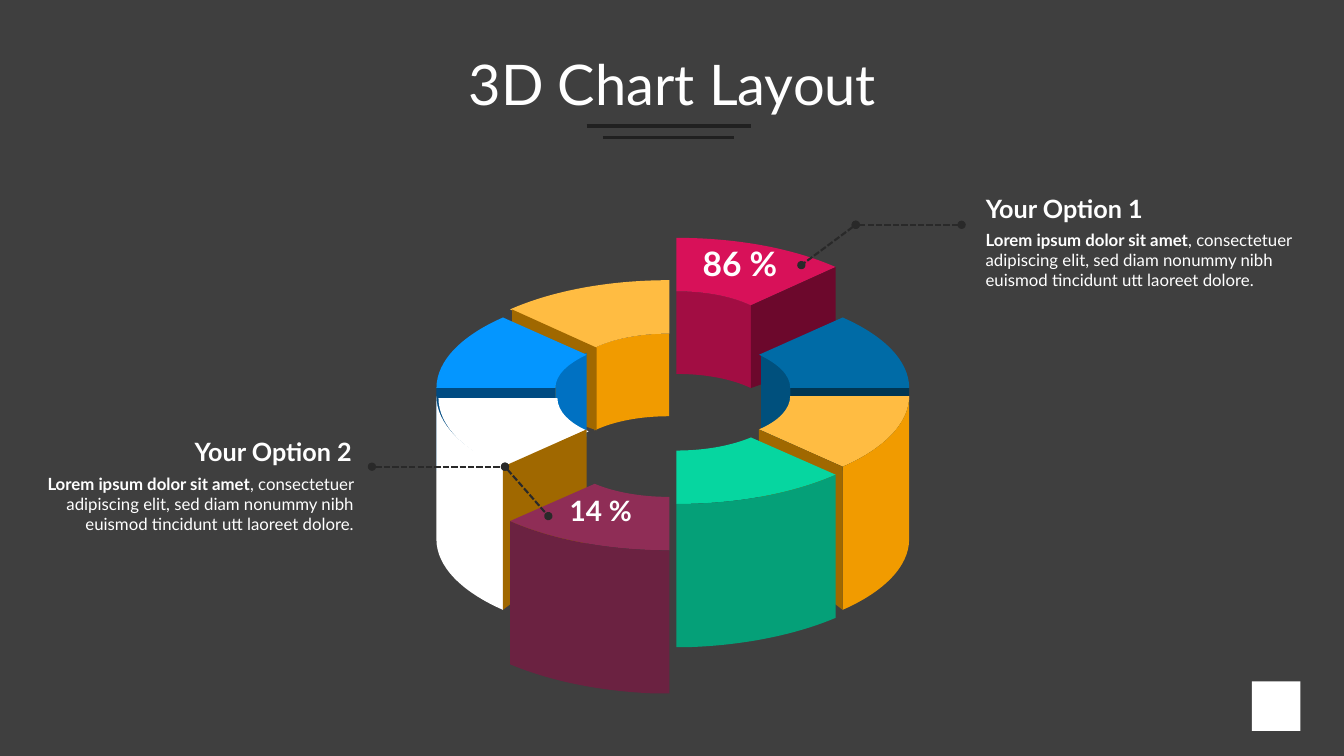
from lxml import etree
from pptx import Presentation
from pptx.dml.color import RGBColor
from pptx.enum import dml, shapes, text
from pptx.oxml.ns import qn
from pptx.util import Inches, Pt

FONT = "Lato"
BACKGROUND = RGBColor(0x3F, 0x3F, 0x3F)
WHITE = RGBColor(0xFF, 0xFF, 0xFF)
RULE = RGBColor(0x20, 0x20, 0x20)
LEADER = RGBColor(0x29, 0x29, 0x29)
YELLOW = RGBColor(0xFF, 0xBC, 0x42)
ORANGE = RGBColor(0xF1, 0x9B, 0x00)
BROWN = RGBColor(0xA0, 0x68, 0x00)
RED = RGBColor(0xD8, 0x11, 0x59)
RED_DARK = RGBColor(0xA2, 0x0D, 0x43)
RED_DEEP = RGBColor(0x6C, 0x08, 0x2C)
NAVY = RGBColor(0x00, 0x6B, 0xA6)
NAVY_DARK = RGBColor(0x00, 0x50, 0x7D)
NAVY_DEEP = RGBColor(0x00, 0x36, 0x53)
BLUE = RGBColor(0x04, 0x96, 0xFF)
BLUE_DARK = RGBColor(0x00, 0x71, 0xC2)
BLUE_DEEP = RGBColor(0x00, 0x4B, 0x82)
GREEN = RGBColor(0x06, 0xD6, 0xA0)
GREEN_DARK = RGBColor(0x05, 0xA0, 0x78)
PLUM = RGBColor(0x8F, 0x2D, 0x56)
PLUM_DARK = RGBColor(0x6B, 0x22, 0x41)

LEFT, CENTER, RIGHT = text.PP_ALIGN.LEFT, text.PP_ALIGN.CENTER, text.PP_ALIGN.RIGHT
TOP, MIDDLE = text.MSO_ANCHOR.TOP, text.MSO_ANCHOR.MIDDLE

prs = Presentation()
prs.slide_width, prs.slide_height = Inches(40 / 3), Inches(7.5)
slide = prs.slides.add_slide(prs.slide_layouts[6])
slide.background.fill.solid()
slide.background.fill.fore_color.rgb = BACKGROUND


def write(sp, *runs, size, bold=False, align=LEFT, anchor=TOP,
          margins=(0.1, 0.05, 0.1, 0.05), spacing=None):
    """Fill a shape with one paragraph; only its first run takes bold."""
    tf = sp.text_frame
    tf.word_wrap = True
    tf.vertical_anchor = anchor
    tf.margin_left, tf.margin_top, tf.margin_right, tf.margin_bottom = map(Inches, margins)
    p = tf.paragraphs[0]
    p.alignment = align
    p.line_spacing = spacing
    for i, words in enumerate(runs):
        r = p.add_run()
        r.text = words
        r.font.name, r.font.size = FONT, Pt(size)
        r.font.bold = bold and i == 0
        r.font.color.rgb = WHITE


def add_line(x1, y1, x2, y2, color, width, dotted=False):
    """Draw a line; a dotted one is dashed with a round dot at each end."""
    line = slide.shapes.add_connector(
        shapes.MSO_CONNECTOR.STRAIGHT, Inches(x1), Inches(y1), Inches(x2), Inches(y2))
    line.line.color.rgb = color
    line.line.width = Pt(width)
    if dotted:
        line.line.dash_style = dml.MSO_LINE.SQUARE_DOT
        ln = line.line._get_or_add_ln()
        for end in ("a:headEnd", "a:tailEnd"):
            etree.SubElement(ln, qn(end)).set("type", "oval")
    etree.SubElement(line._element.spPr, qn("a:effectLst"))


title = slide.shapes.add_textbox(Inches(0.92), Inches(0.48), Inches(11.5), Inches(0.78))
write(title, "3D Chart Layout", size=40, align=CENTER, anchor=MIDDLE,
      margins=(0.04, 0.05, 0.04, 0.05), spacing=0.9)

# A tuple is a rectangle: left, top, width, height.
# A list is an outline: a pair is a corner, six numbers are a Bezier curve.
# Ring faces are those of the left half.
CORNER_SQUARE = (12.42, 6.76, 0.48, 0.49)
BACK_WALL = [(6.64, 3.31), (6.35, 3.31, 6.09, 3.36, 5.9, 3.45), (5.9, 4.27),
             (6.09, 4.18, 6.35, 4.13, 6.64, 4.13)]
BACK_TOP = [(6.64, 3.31), (6.64, 2.78), (6.02, 2.78, 5.47, 2.89, 5.06, 3.07),
            (5.9, 3.45), (6.09, 3.36, 6.35, 3.31, 6.64, 3.31)]
BACK_END = [(5.91, 4.27), (5.07, 3.97), (5.07, 3.07), (5.91, 3.45)]
UPPER_WALL = [(5.82, 4.35), (5.82, 3.52), (5.63, 3.61, 5.51, 3.72, 5.51, 3.85),
              (5.51, 4.68), (5.51, 4.55, 5.63, 4.43, 5.82, 4.35)]
UPPER_TOP = [(5.82, 3.52), (4.99, 3.15), (4.58, 3.33, 4.33, 3.58, 4.33, 3.85),
             (5.51, 3.85), (5.51, 3.72, 5.63, 3.61, 5.82, 3.52)]
UPPER_END = (4.33, 3.85, 1.18, 0.82)
LOWER_TOP = [(5.82, 4.26), (5.63, 4.18, 5.51, 4.06, 5.51, 3.93), (4.33, 3.93),
             (4.33, 4.2, 4.58, 4.45, 4.99, 4.63)]
LOWER_WALL = [(4.33, 3.93), (4.33, 5.35), (4.33, 5.62, 4.58, 5.87, 4.99, 6.05),
              (4.99, 4.63), (4.58, 4.45, 4.33, 4.2, 4.33, 3.93)]
LOWER_END = [(5.82, 4.26), (5.82, 5.41), (4.99, 6.05), (4.99, 4.63)]
FRONT_TOP = [(6.64, 4.93), (6.35, 4.93, 6.09, 4.88, 5.9, 4.8), (5.06, 5.17),
             (5.47, 5.35, 6.02, 5.46, 6.64, 5.46)]
FRONT_WALL = [(5.06, 5.17), (5.06, 6.59), (5.44, 6.75, 5.94, 6.86, 6.51, 6.88),
              (6.64, 6.88), (6.64, 5.46), (6.02, 5.46, 5.47, 5.35, 5.06, 5.17)]
MIRROR_SUM = 13.35  # x of a left point plus x of its twin on the right

# outline, colour, mirrored to the right, shift across, shift down
faces = [
    (CORNER_SQUARE, WHITE, False, 0, 0),
    (BACK_WALL, ORANGE, False, 0, 0),
    (BACK_TOP, YELLOW, False, 0, 0),
    (BACK_END, BROWN, False, 0.01, 0),
    (BACK_WALL, RED_DARK, True, 0, -0.42),
    (BACK_TOP, RED, True, 0, -0.42),
    (BACK_END, RED_DEEP, True, 0.01, -0.42),
    (UPPER_WALL, NAVY_DARK, True, 0.02, 0),
    (UPPER_TOP, NAVY, True, 0, 0),
    (UPPER_END, NAVY_DEEP, True, 0, 0),
    (UPPER_WALL, BLUE_DARK, False, 0, -0.02),
    (UPPER_TOP, BLUE, False, 0, 0),
    (UPPER_END, BLUE_DEEP, False, 0, 0),
    (LOWER_TOP, WHITE, False, 0.02, 0.02),
    (LOWER_WALL, WHITE, False, 0, 0),
    (LOWER_TOP, YELLOW, True, 0, 0),
    (LOWER_WALL, ORANGE, True, 0, 0),
    (LOWER_END, BROWN, False, 0, 0),
    (LOWER_END, BROWN, True, 0, 0),
    (FRONT_TOP, GREEN, True, 0, -0.46),
    (FRONT_WALL, GREEN_DARK, True, 0, -0.46),
    (FRONT_TOP, PLUM, False, 0, 0),
    (FRONT_WALL, PLUM_DARK, False, 0, 0),
]
labels = {
    RED: dict(words="86 %", size=24, margins=(0.26, 0.05, 0, 0)),
    PLUM: dict(words="14 %", size=20, margins=(0.59, 0.1, 0, 0)),
}
for outline, color, mirrored, dx, dy in faces:
    if isinstance(outline, tuple):
        left, top, width, height = outline
        if mirrored:
            left = MIRROR_SUM - left - width
        sp = slide.shapes.add_shape(
            shapes.MSO_SHAPE.RECTANGLE, Inches(left + dx), Inches(top + dy),
            Inches(width), Inches(height))
    else:
        points = [(Inches((MIRROR_SUM - x if mirrored else x) + dx), Inches(y + dy))
                  for part in outline for x, y in zip(part[::2], part[1::2])]
        builder = slide.shapes.build_freeform(*points[0])
        builder.add_line_segments(points[1:], close=True)
        sp = builder.convert_to_shape()
        # Join each curve's three segments into one Bezier segment
        segments = iter(list(sp._element.iter(qn("a:lnTo"))))
        for part in outline[1:]:
            segment = next(segments)
            if len(part) == 6:
                segment.tag = qn("a:cubicBezTo")
                for _ in range(2):
                    control = next(segments)
                    segment.append(control[0])
                    control.getparent().remove(control)
    sp.shadow.inherit = False
    sp.fill.solid()
    sp.fill.fore_color.rgb = color
    sp.line.fill.background()
    if color in labels:
        label = labels[color]
        write(sp, label["words"], size=label["size"], bold=True, margins=label["margins"])

add_line(5.82, 1.25, 7.45, 1.25, RULE, 2.25)
add_line(5.98, 1.36, 7.28, 1.36, RULE, 2.25)

# heading, its left and top, left and top of the body, alignment, corners of the leader
options = [
    ("Your Option 1", 9.65, 1.92, 9.68, 2.23, LEFT, [(9.54, 2.23), (8.49, 2.23), (7.95, 2.63)]),
    ("Your Option 2", 0.95, 4.33, 0.24, 4.65, RIGHT, [(3.69, 4.63), (5.01, 4.63), (5.44, 5.12)]),
]
for heading, head_x, head_y, body_x, body_y, align, corners in options:
    for start, end in zip(corners, corners[1:]):
        add_line(*start, *end, LEADER, 1.5, dotted=True)
    head = slide.shapes.add_textbox(Inches(head_x), Inches(head_y), Inches(2.67), Inches(0.3))
    write(head, heading, size=18, bold=True, align=align, anchor=MIDDLE,
          margins=(0.13, 0, 0.13, 0))
    body = slide.shapes.add_textbox(Inches(body_x), Inches(body_y), Inches(3.37), Inches(0.71))
    write(body, "Lorem ipsum dolor sit amet",
          ", consectetuer adipiscing elit, sed diam nonummy nibh "
          "euismod tincidunt utt laoreet dolore.",
          size=12, bold=True, align=align)

prs.save("out.pptx")
